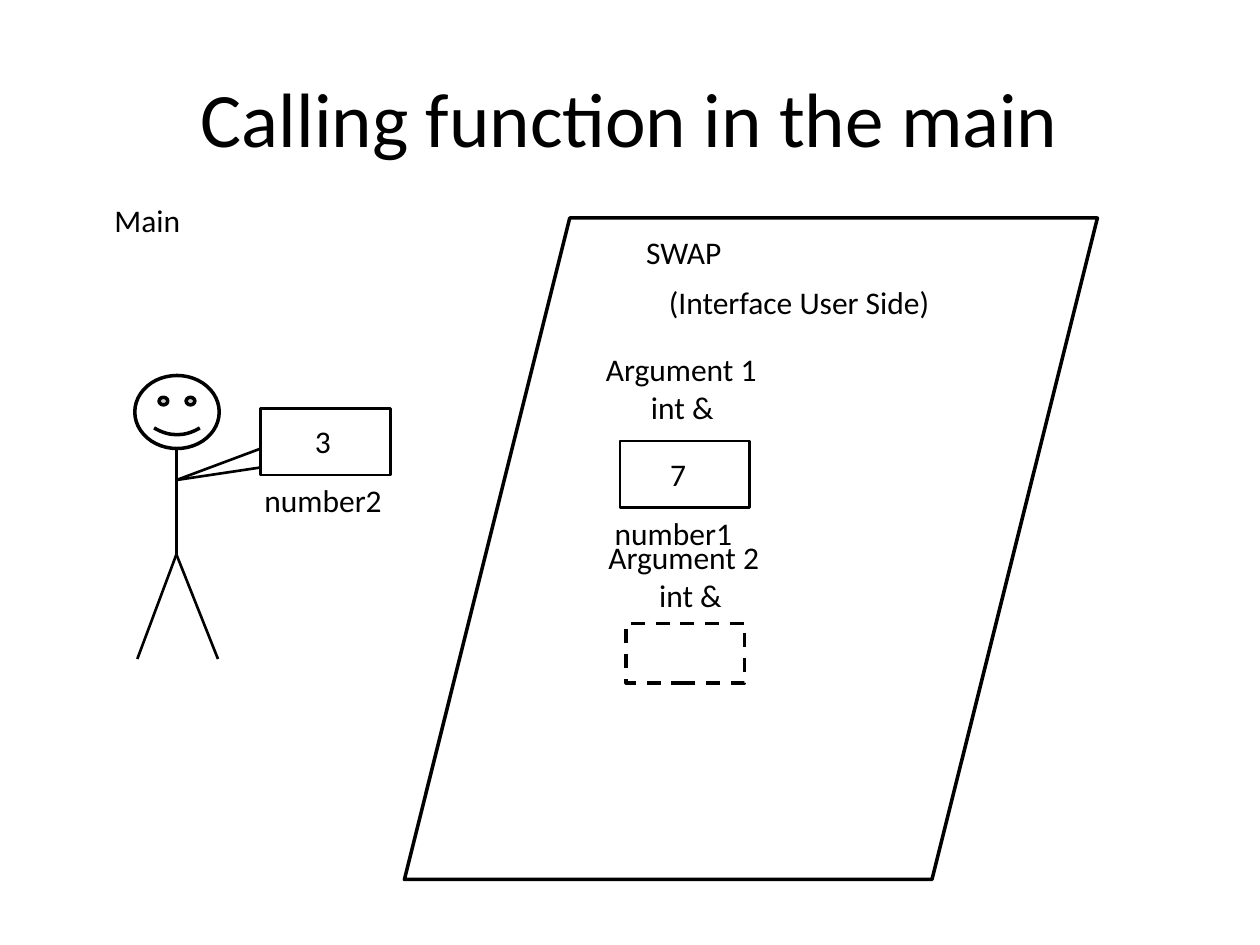
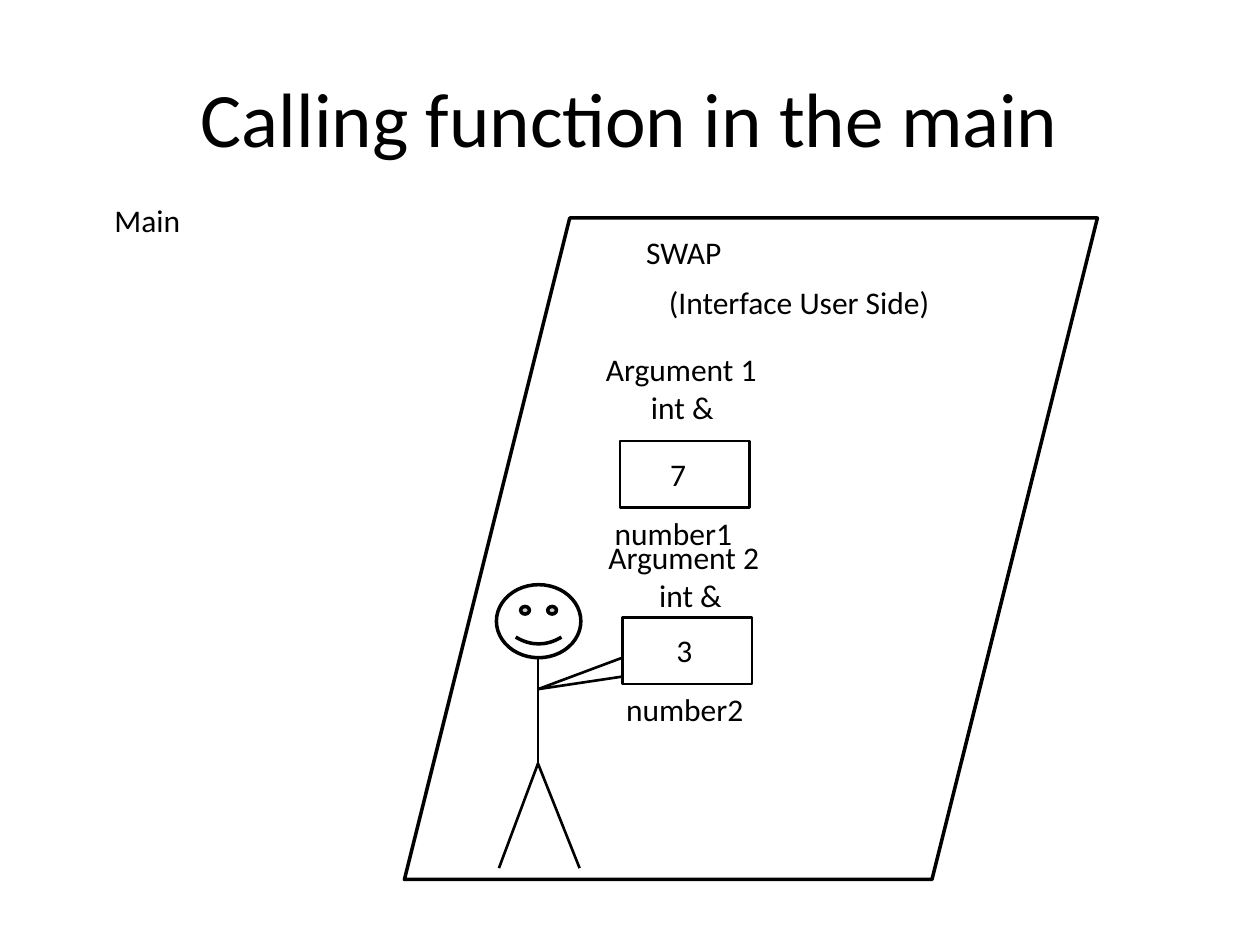
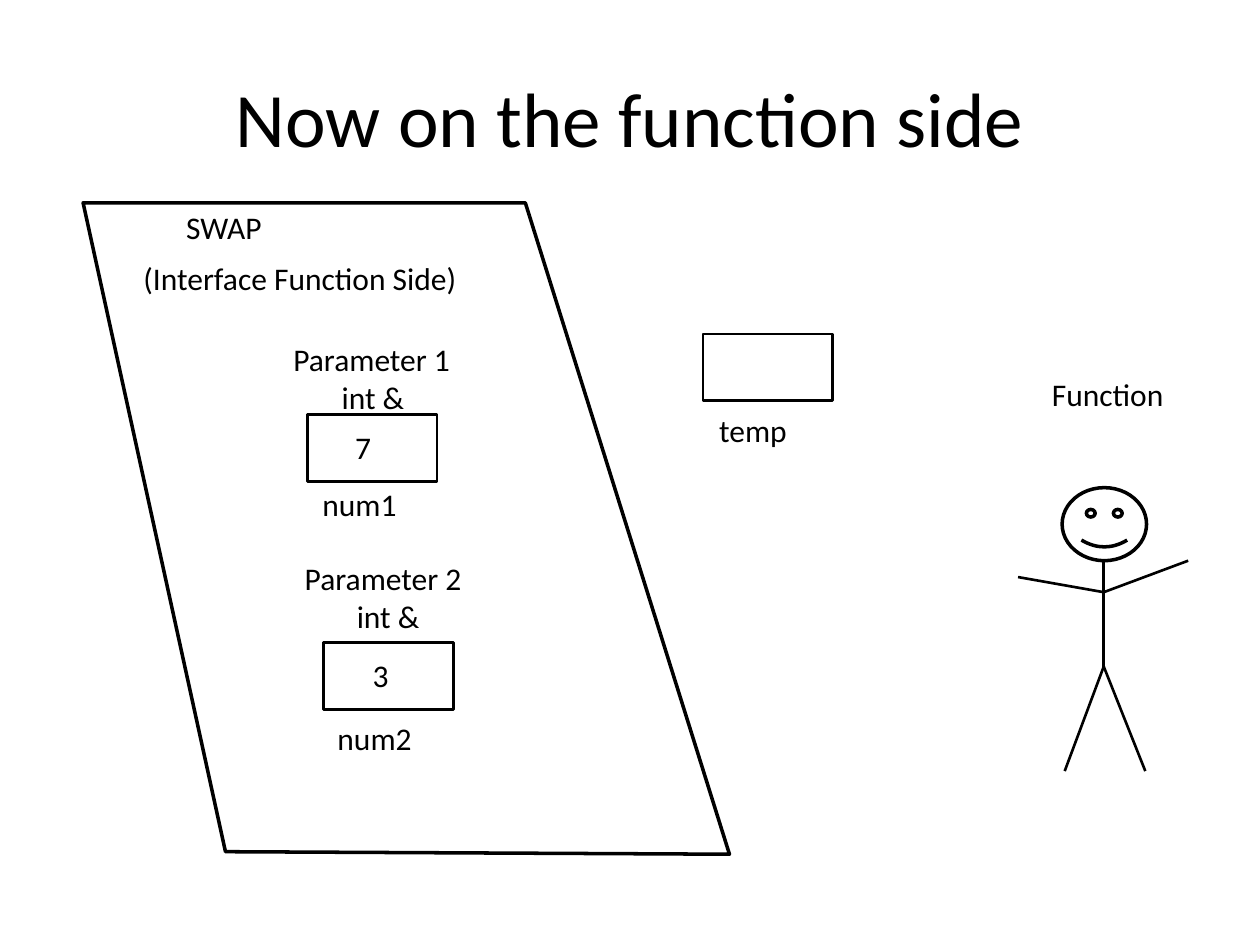
"""Build three slides that show a swap function called with reference arguments."""
from dataclasses import dataclass

from lxml import etree
from pptx import Presentation
from pptx.dml.color import RGBColor
from pptx.enum.dml import MSO_LINE
from pptx.enum.shapes import MSO_CONNECTOR, MSO_SHAPE
from pptx.enum.text import MSO_ANCHOR, PP_ALIGN
from pptx.oxml.ns import qn
from pptx.util import Inches, Pt

RECT, SLANT, SMILE = MSO_SHAPE.RECTANGLE, MSO_SHAPE.PARALLELOGRAM, MSO_SHAPE.SMILEY_FACE
LINE, DASH = MSO_CONNECTOR.STRAIGHT, MSO_LINE.DASH
LEFT, MID, CENTER = PP_ALIGN.LEFT, MSO_ANCHOR.MIDDLE, PP_ALIGN.CENTER


@dataclass(frozen=True)
class Theme:
    ink: RGBColor = RGBColor(0, 0, 0)
    paper: RGBColor = RGBColor(255, 255, 255)
    font: str = "Calibri"
    head: Pt = Pt(44)
    body: Pt = Pt(18)
    thin: Pt = Pt(1.5)
    thick: Pt = Pt(2)


theme = Theme()
deck = Presentation()
deck.slide_width, deck.slide_height = Inches(10), Inches(7.5)
cell = deck.slide_width // 100


def span(*cells):
    """Turn cells of the 100 by 75 grid into slide lengths."""
    return [round(n * cell) for n in cells]


def say(frame, lines, size, first):
    """Write lines run by run: the first aligned as asked, the rest centred."""
    frame.word_wrap = True
    for i, line in enumerate(lines):
        para = frame.add_paragraph() if i else frame.paragraphs[0]
        para.alignment = CENTER if i else first
        run = para.add_run()
        run.text = line
        run.font.name, run.font.size = theme.font, size
        run.font.color.rgb = theme.ink


user = [
    (8.1, 15.5, 9.2, ["Main"]),
    (50.3, 18, 20, ["SWAP"]),
    (52.1, 22, 23.2, ["(Interface User Side)"]),
    (47.1, 27.3, 14.1, ["Argument 1", "int &"]),
    (47.3, 42.2, 15, ["Argument 2", "int &"]),
]
inner = [
    (82.5, 29.3, 13.5, ["Function"]),
    (13.8, 16, 20.3, ["SWAP"]),
    (10.4, 20.1, 30.8, ["(Interface Function Side)"]),
    (22.3, 26.5, 14.6, ["Parameter 1", "int &"]),
    (23.2, 43.9, 15.2, ["Parameter 2", "int &"]),
]
first = (49.2, 35, "7", 3, "number1", -1.4, 5.3)
reach = [(10, 5.8), (10, 7.3)]
wave = [(10, 5.8), (-3.5, 7.1)]
sheet = [(57.9, 67.8), (17.9, 67.6), (6.6, 16.1), (41.7, 16.1)]

scenes = [
    ("Calling function in the main", user, None, (10.7, 29.8), reach,
     [(20.7, 32.4, "3", 3.3, "number2", -0.7, 5.3), first]),
    ("Calling function in the main", user, None, (39.4, 46.4), reach,
     [(49.4, 49, "3", 3.3, "number2", -0.7, 5.3), first]),
    ("Now on the function side", inner, sheet, (84.3, 38.7), wave,
     [(25.7, 51, "3", 2.9, "num2", 0.1, 5.6),
      (24.4, 32.9, "7", 2.8, "num1", 0.2, 5.1),
      (55.8, 26.5, "", 0, "temp", 0.3, 5.6)]),
]

for title, labels, edge, (left, top), arms, cards in scenes:
    slide = deck.slides.add_slide(deck.slide_layouts[5])
    shapes = slide.shapes
    head = shapes.title
    head.left, head.top, head.width, head.height = span(5, 3, 90, 12.5)
    head.text_frame.vertical_anchor = MID
    say(head.text_frame, [title], theme.head, CENTER)

    bold, light, solid = [], [], []
    if edge:
        pen = shapes.build_freeform(*span(*edge[0]), scale=1)
        pen.add_line_segments([span(*dot) for dot in edge[1:]], close=True)
        bold.append(pen.convert_to_shape())
    else:
        slot = shapes.add_shape(RECT, *span(49.7, 49.5, 9.4, 4.7))
        slot.line.dash_style = DASH
        bold += [shapes.add_shape(SLANT, *span(32.1, 17.3, 55, 52.5)), slot]

    for x, y, wide, lines in labels:
        note = shapes.add_textbox(*span(x, y, wide, 3.1 * len(lines) + 0.9))
        say(note.text_frame, lines, theme.body, LEFT)

    body = shapes.add_group_shape().shapes
    face = body.add_shape(SMILE, *span(left, top, 6.7, 5.8))
    bold.append(face)
    neck, chest, hip = (3.3, 5.8), (3.3, 8.3), (3.3, 14.2)
    limbs = [(neck, hip), (hip, (0.2, 22.5)), (hip, (6.6, 22.5))]
    limbs += [(chest, hand) for hand in arms]
    for (ax, ay), (bx, by) in limbs:
        limb = body.add_connector(
            LINE, *span(left + ax, top + ay, left + bx, top + by))
        limb.line.color.rgb, limb.line.width = theme.ink, theme.thin
        etree.SubElement(limb._element.spPr, qn("a:effectLst"))

    for x, y, value, shift, name, dx, dy in cards:
        card = shapes.add_group_shape().shapes
        box = card.add_shape(RECT, *span(x, y, 10.3, 5.3))
        light.append(box)
        texts = [(x + dx, y + dy, 12.5, name)]
        if value:
            texts.append((x + shift, y + 0.6, 3.6, value))
        for tx, ty, wide, word in texts:
            note = card.add_textbox(*span(tx, ty, wide, 4))
            say(note.text_frame, [word], theme.body, LEFT)

    if not edge:
        solid = [face] + light
    for group, width in ((bold, theme.thick), (light, theme.thin)):
        for item in group:
            item.fill.background()
            item.line.color.rgb, item.line.width = theme.ink, width
            item.shadow.inherit = False
    for item in solid:
        item.fill.solid()
        item.fill.fore_color.rgb = theme.paper

deck.save("out.pptx")
